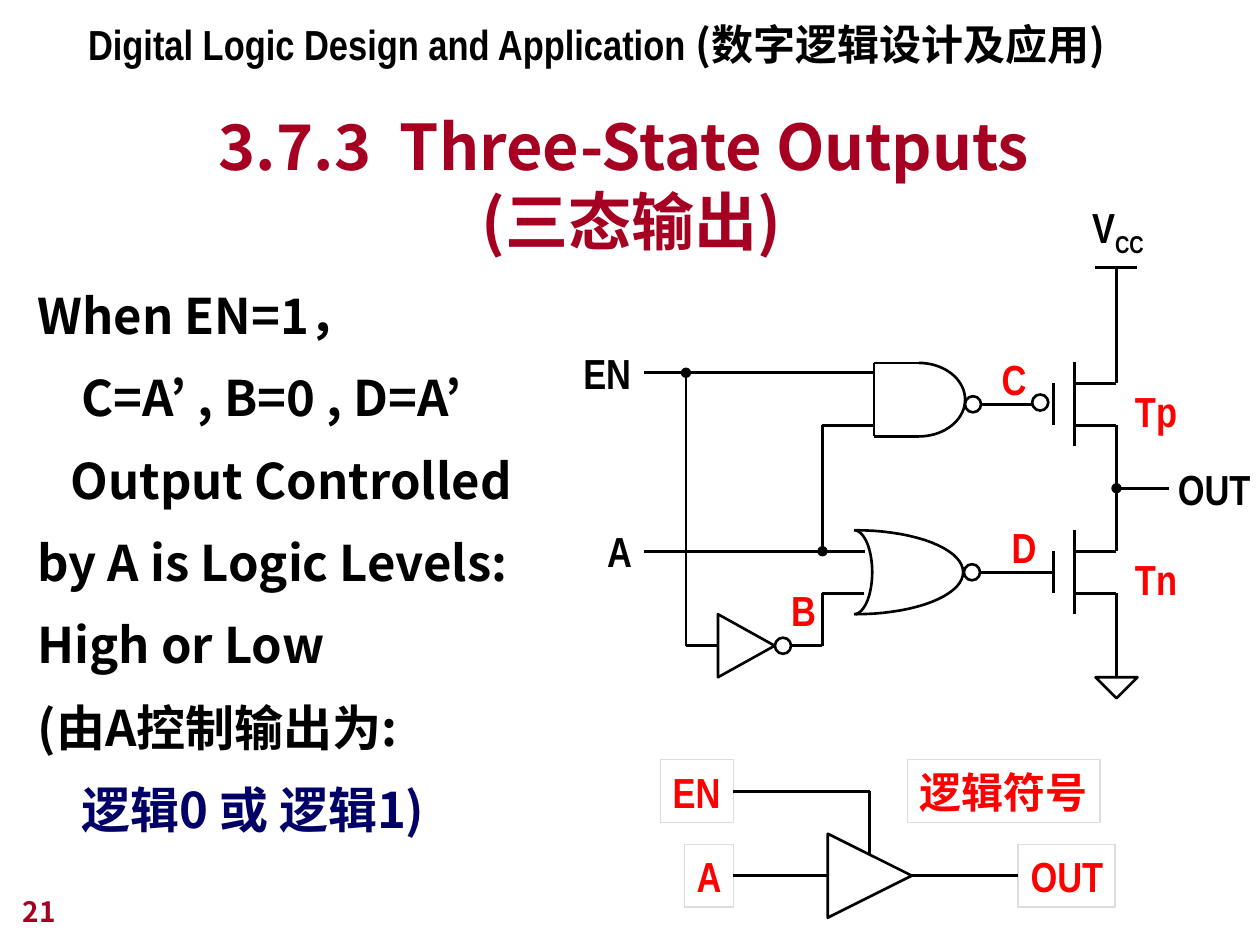
"""Build the three-state output slide: circuit diagram, logic symbol and explanation."""
import math
from dataclasses import dataclass

import lxml.etree
import pptx
import pptx.dml.color
import pptx.enum.shapes
import pptx.enum.text
import pptx.oxml.ns
import pptx.util

Pt = pptx.util.Pt
Shapes = pptx.enum.shapes.MSO_SHAPE
qn = pptx.oxml.ns.qn
BLACK, RED, CRIMSON, NAVY, GREY = "000000", "FF0000", "A50021", "000066", "DDDDDD"
NARROW, SANS = "Arial Narrow", "Noto Sans CJK JP"

GATE_X, CHANNEL_X, RAIL_X = 602, 614, 638
ENABLE_Y, INPUT_Y, OUTPUT_Y, INVERTER_Y = 213, 315, 279, 369
P_GATE_Y, N_GATE_Y = 231, 327
BRANCH_X, ENABLE_BRANCH_X, NAND_X = 470, 392, 499.5
SYMBOL_ENABLE_Y, SYMBOL_Y, SYMBOL_X = 452.2, 500.4, 473


@dataclass(frozen=True)
class Wire:
    x1: float
    y1: float
    x2: float
    y2: float
    dot: bool = False


@dataclass(frozen=True)
class Label:
    text: str
    left: float
    top: float
    width: float
    color: str = RED
    boxed: bool = False


@dataclass(frozen=True)
class Outline:
    kind: int
    left: float
    top: float
    width: float
    height: float
    rotation: float = 0


@dataclass(frozen=True)
class Arc:
    x: float
    y: float
    radius_x: float
    radius_y: float


def rgb(color: str):
    return pptx.dml.color.RGBColor.from_string(color)


def add_run(paragraph, text: str, *, size=24, color=BLACK, font=NARROW, baseline=0):
    run = paragraph.add_run()
    run.text = text
    run.font.size = Pt(size)
    run.font.bold = True
    run.font.color.rgb = rgb(color)
    run.font.name = font
    properties = run._r.get_or_add_rPr()
    lxml.etree.SubElement(properties, qn("a:ea")).set("typeface", SANS)
    if baseline:
        properties.set("baseline", str(baseline * 1000))


def setup_frame(shape, wrap=False, grow=True, bottom=False):
    frame = shape.text_frame
    sizes, anchors = pptx.enum.text.MSO_AUTO_SIZE, pptx.enum.text.MSO_ANCHOR
    frame.word_wrap = wrap
    frame.auto_size = sizes.SHAPE_TO_FIT_TEXT if grow else sizes.NONE
    frame.vertical_anchor = anchors.BOTTOM if bottom else anchors.TOP
    return frame


def add_text_box(slide, left: float, top: float, width: float, height: float, **options):
    box = slide.shapes.add_textbox(Pt(left), Pt(top), Pt(width), Pt(height))
    return setup_frame(box, **options)


def style_outline(shape, color=BLACK, weight=1.5):
    shape.shadow.inherit = False
    shape.fill.background()
    shape.line.color.rgb = rgb(color)
    shape.line.width = Pt(weight)


def add_label(slide, label: Label):
    place = (Pt(label.left), Pt(label.top), Pt(label.width), Pt(36))
    if label.boxed:
        shape = slide.shapes.add_shape(Shapes.RECTANGLE, *place)
        style_outline(shape, GREY, 0.75)
    else:
        shape = slide.shapes.add_textbox(*place)
    frame = setup_frame(shape)
    frame.margin_right = Pt(5)
    paragraph = frame.paragraphs[0]
    paragraph.alignment = pptx.enum.text.PP_ALIGN.LEFT
    add_run(paragraph, label.text, color=label.color)
    return shape


def add_wire(slide, wire: Wire):
    connector = slide.shapes.add_connector(
        pptx.enum.shapes.MSO_CONNECTOR.STRAIGHT,
        Pt(wire.x1), Pt(wire.y1), Pt(wire.x2), Pt(wire.y2))
    connector.line.color.rgb = rgb(BLACK)
    connector.line.width = Pt(1.5)
    if wire.dot:
        line = connector.line._get_or_add_ln()
        lxml.etree.SubElement(line, qn("a:headEnd")).set("type", "oval")
    lxml.etree.SubElement(connector._element.spPr, qn("a:effectLst"))
    return connector


def add_outline(slide, outline: Outline):
    shape = slide.shapes.add_shape(
        outline.kind, Pt(outline.left), Pt(outline.top), Pt(outline.width), Pt(outline.height))
    shape.rotation = outline.rotation
    style_outline(shape)


def add_arc(slide, arc: Arc):
    angles = [math.radians(angle) for angle in range(-90, 91, 5)]
    points = [(100 * (arc.x + arc.radius_x * math.cos(angle)),
               100 * (arc.y + arc.radius_y * math.sin(angle))) for angle in angles]
    builder = slide.shapes.build_freeform(*points[0], scale=Pt(1) / 100)
    builder.add_line_segments(points[1:], close=False)
    style_outline(builder.convert_to_shape())


def transistor(gate_y: float) -> list[Wire]:
    return [Wire(GATE_X, gate_y - 12, GATE_X, gate_y + 12),
            Wire(CHANNEL_X, gate_y - 24, CHANNEL_X, gate_y + 24),
            Wire(CHANNEL_X, gate_y - 12, RAIL_X, gate_y - 12),
            Wire(CHANNEL_X, gate_y + 12, RAIL_X, gate_y + 12)]


def bubble(left: float, middle: float) -> Outline:
    return Outline(Shapes.OVAL, left, middle - 4.6, 9.2, 9.2)


def draw_circuit(slide):
    wires = transistor(P_GATE_Y) + transistor(N_GATE_Y) + [
        Wire(RAIL_X, 219, RAIL_X, 153),
        Wire(RAIL_X - 12, 153, RAIL_X + 12, 153),
        Wire(RAIL_X, 243, RAIL_X, 315),
        Wire(RAIL_X, 387, RAIL_X, 339),
        Wire(RAIL_X, OUTPUT_Y, 668, OUTPUT_Y, dot=True),
        Wire(590, P_GATE_Y, 560, P_GATE_Y),
        Wire(GATE_X, N_GATE_Y, 560, N_GATE_Y),
        Wire(BRANCH_X, INPUT_Y, BRANCH_X, 243, dot=True),
        Wire(NAND_X, 243, BRANCH_X, 243),
        Wire(525, 207.4, NAND_X, 207.4),
        Wire(525, 249.4, NAND_X, 249.4),
        Wire(NAND_X, 207.4, NAND_X, 249.4),
        Wire(452, INVERTER_Y, BRANCH_X, INVERTER_Y),
        Wire(494, 339, BRANCH_X, 339),
        Wire(BRANCH_X, 339, BRANCH_X, INVERTER_Y),
        Wire(410, INVERTER_Y, ENABLE_BRANCH_X, INVERTER_Y),
        Wire(ENABLE_BRANCH_X, ENABLE_Y, ENABLE_BRANCH_X, INVERTER_Y, dot=True)]
    for wire in wires:
        add_wire(slide, wire)
    for outline in (bubble(589.8, 230), bubble(551.4, P_GATE_Y), bubble(550.8, N_GATE_Y),
                    bubble(442.8, INVERTER_Y),
                    Outline(Shapes.ISOSCELES_TRIANGLE, 626, 387, 24, 12, 180),
                    Outline(Shapes.ISOSCELES_TRIANGLE, 408.5, 352.8, 36, 32.4, 90)):
        add_outline(slide, outline)
    for arc in (Arc(525, 228.4, 26.5, 21), Arc(489, 327, 61.4, 24), Arc(488, 327, 10.4, 24)):
        add_arc(slide, arc)
    for text, top, width, end_x in (("EN", 195, 41.8, NAND_X), ("A", 297, 28.1, 494.5)):
        source = add_label(slide, Label(text, 368 - width, top, width, BLACK))
        add_wire(slide, Wire(368, top + 18, end_x, top + 18)).begin_connect(source, 3)
    for label in (Label("OUT", 666, 261.4, 55.4, BLACK), Label("B", 445, 330.5, 28.1),
                  Label("C", 565.2, 198.7, 28.1), Label("D", 571, 294.5, 28.1),
                  Label("Tp", 641.5, 216.7, 38.2), Label("Tn", 641.5, 312.5, 38.2)):
        add_label(slide, label)
    supply = add_text_box(slide, 617, 111.6, 43.9, 40.3).paragraphs[0]
    add_run(supply, "V")
    add_run(supply, "CC", baseline=-25)


def draw_symbol(slide):
    add_outline(slide, Outline(Shapes.ISOSCELES_TRIANGLE, SYMBOL_X, SYMBOL_Y - 24, 48, 48, 90))
    data = add_label(slide, Label("A", 391, SYMBOL_Y - 18, 28.1, RED, True))
    enable = add_label(slide, Label("EN", 377.3, SYMBOL_ENABLE_Y - 18, 41.8, RED, True))
    output = add_label(slide, Label("OUT", 581.8, SYMBOL_Y - 18, 55.4, RED, True))
    add_label(slide, Label("逻辑符号", 518.4, SYMBOL_ENABLE_Y - 18, 110.2, RED, True))
    middle = SYMBOL_X + 24
    add_wire(slide, Wire(middle, SYMBOL_Y - 12, middle, SYMBOL_ENABLE_Y))
    add_wire(slide, Wire(419, SYMBOL_Y, SYMBOL_X, SYMBOL_Y)).begin_connect(data, 3)
    add_wire(slide, Wire(419, SYMBOL_ENABLE_Y, middle, SYMBOL_ENABLE_Y)).begin_connect(enable, 3)
    add_wire(slide, Wire(SYMBOL_X + 48, SYMBOL_Y, 581.8, SYMBOL_Y)).end_connect(output, 1)


def draw_text(slide):
    title = add_text_box(slide, 54.7, 54.7, 612, 96.5, wrap=True, grow=False, bottom=True)
    heading = title.paragraphs[0]
    heading.alignment = pptx.enum.text.PP_ALIGN.CENTER
    add_run(heading, "3.7.3  Three-State Outputs ", size=36, color=CRIMSON, font=SANS)
    heading.add_line_break()
    add_run(heading, "(三态输出)", size=36, color=CRIMSON, font=SANS)

    body = add_text_box(slide, 14.4, 146.2, 306, 337, wrap=True)
    lines = (("When EN=1，", 0, BLACK), ("C=A’ , B=0 , D=A’", 25, BLACK),
             ("Output Controlled by A is Logic Levels:", 19, BLACK), ("High or Low", 0, BLACK),
             ("(由A控制输出为:", 0, BLACK), ("逻辑0 或 逻辑1)", 25, NAVY))
    for index, (text, indent, color) in enumerate(lines):
        paragraph = body.add_paragraph() if index else body.paragraphs[0]
        paragraph.line_spacing = 1.4
        paragraph._p.get_or_add_pPr().set("indent", str(Pt(indent)))
        add_run(paragraph, text, size=28, color=color, font=SANS)

    header = add_text_box(slide, 43.2, 7.2, 605.5, 36, wrap=True).paragraphs[0]
    add_run(header, "Digital Logic Design and Application ")
    add_run(header, "(数字逻辑设计及应用)", font=SANS)
    number = add_text_box(slide, 5.8, 498.2, 149.8, 36, wrap=True, grow=False, bottom=True)
    add_run(number.paragraphs[0], "21", size=16, color=CRIMSON, font=SANS)


def main():
    presentation = pptx.Presentation()
    presentation.slide_width, presentation.slide_height = Pt(720), Pt(540)
    slide = presentation.slides.add_slide(presentation.slide_layouts[6])
    draw_circuit(slide)
    draw_symbol(slide)
    draw_text(slide)
    presentation.save("out.pptx")


if __name__ == "__main__":
    main()
